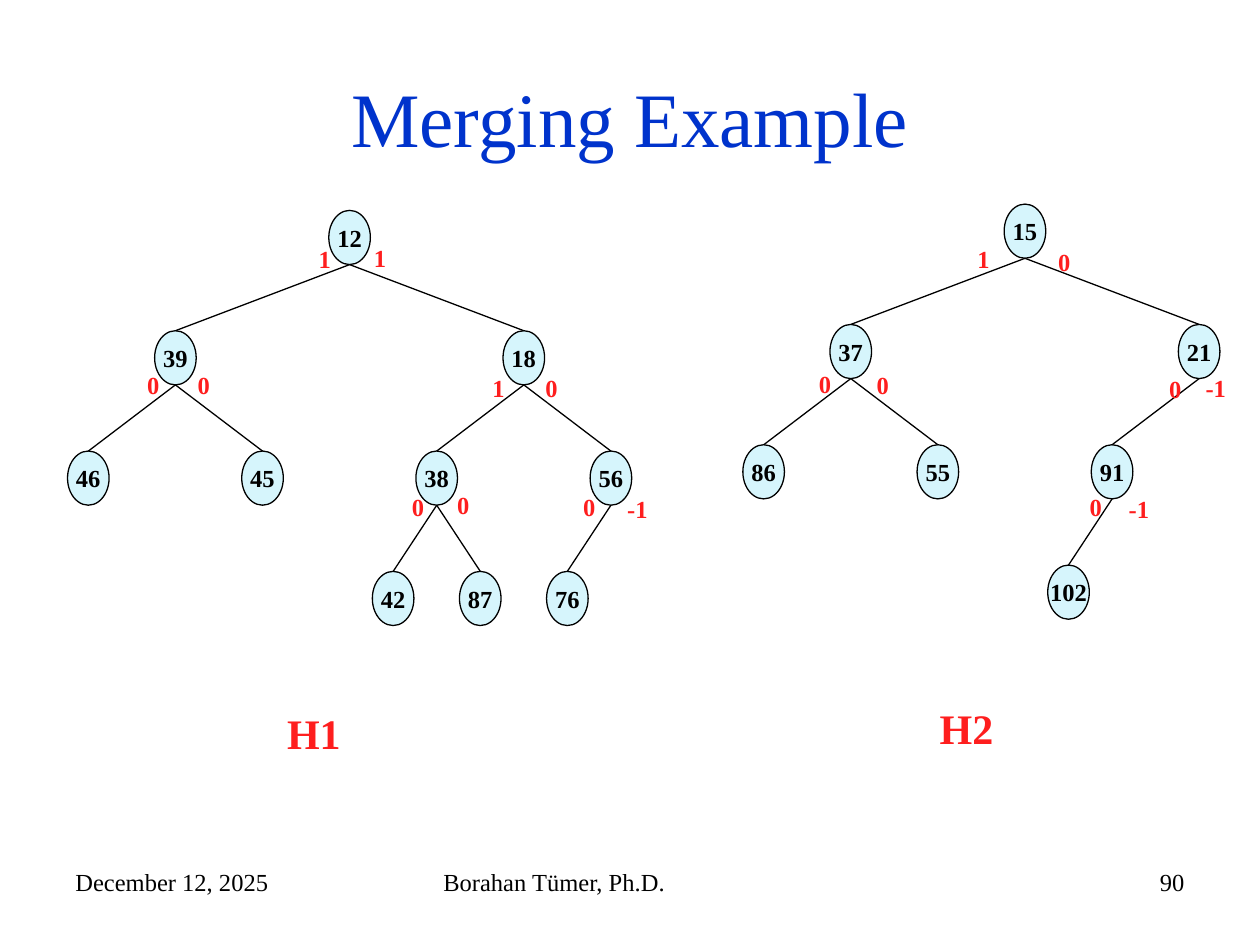
from dataclasses import dataclass

from lxml import etree
from pptx import Presentation
from pptx.dml.color import RGBColor
from pptx.enum.shapes import MSO_CONNECTOR, MSO_SHAPE
from pptx.enum.text import MSO_ANCHOR, MSO_AUTO_SIZE, PP_ALIGN
from pptx.oxml.ns import qn
from pptx.shapes.autoshape import Shape
from pptx.slide import Slide
from pptx.text.text import TextFrame
from pptx.util import Inches, Pt

ELLIPSE = MSO_SHAPE.OVAL
STRAIGHT = MSO_CONNECTOR.STRAIGHT
TOP, MIDDLE = MSO_ANCHOR.TOP, MSO_ANCHOR.MIDDLE
LEFT, CENTER, RIGHT = PP_ALIGN.LEFT, PP_ALIGN.CENTER, PP_ALIGN.RIGHT
FIT_SHAPE, FIXED = MSO_AUTO_SIZE.SHAPE_TO_FIT_TEXT, MSO_AUTO_SIZE.NONE
TOP_SITE = 0


@dataclass(frozen=True)
class Theme:
    font: str = "Times New Roman"
    ink: RGBColor = RGBColor(0x00, 0x00, 0x00)
    title: RGBColor = RGBColor(0x00, 0x33, 0xCC)
    accent: RGBColor = RGBColor(0xFE, 0x1E, 0x1E)
    node_fill: RGBColor = RGBColor(0xD6, 0xF5, 0xFC)
    title_size: int = 44
    heading_size: int = 24
    body_size: int = 14
    line_width: float = 0.75


@dataclass(frozen=True)
class TextStyle:
    size: int
    color: RGBColor
    bold: bool = False
    align: PP_ALIGN = LEFT
    anchor: MSO_ANCHOR = TOP
    wrap: bool = True
    fit: MSO_AUTO_SIZE = FIXED


@dataclass(frozen=True)
class Label:
    text: str
    left: float
    top: float
    width: float
    height: float
    style: TextStyle


@dataclass(frozen=True)
class Rank:
    text: str
    left: float
    top: float


@dataclass(frozen=True)
class Heap:
    """Keys are stored by heap index: the children of i are 2i and 2i + 1."""
    root_x: float
    root_top: float
    keys: dict[int, str]
    ranks: list[Rank]


THEME = Theme()
FOOTER = TextStyle(THEME.body_size, THEME.ink)
FOOTER_RIGHT = TextStyle(THEME.body_size, THEME.ink, align=RIGHT)
TITLE = TextStyle(THEME.title_size, THEME.title, align=CENTER, anchor=MIDDLE)
HEADING = TextStyle(THEME.heading_size, THEME.accent, bold=True, fit=FIT_SHAPE)
RANK = TextStyle(THEME.body_size, THEME.accent, bold=True, wrap=False, fit=FIT_SHAPE)
NODE = TextStyle(THEME.body_size, THEME.ink, bold=True, align=CENTER,
                 anchor=MIDDLE, wrap=False)

NODE_WIDTH, NODE_HEIGHT = 0.33, 0.43
LEVEL_STEP = 0.955
HALF_SPREAD = 2.765

LABELS = [
    Label("December 12, 2025", 0.5, 6.83, 2.33, 0.52, FOOTER),
    Label("Borahan Tümer, Ph.D.", 3.42, 6.83, 3.17, 0.52, FOOTER),
    Label("90", 7.17, 6.83, 2.33, 0.52, FOOTER_RIGHT),
    Label("Merging Example", 0.5, 0.3, 9, 1.25, TITLE),
    Label("H1", 2.18, 5.57, 0.77, 0.5, HEADING),
    Label("H2", 7.36, 5.53, 0.77, 0.5, HEADING),
]

HEAPS = [
    Heap(
        2.775, 1.67,
        {1: "12", 2: "39", 3: "18", 4: "46", 5: "45", 6: "38", 7: "56",
         12: "42", 13: "87", 14: "76"},
        [Rank("1", 2.43, 1.89), Rank("1", 2.87, 1.88),
         Rank("0", 1.07, 2.89), Rank("0", 1.47, 2.89),
         Rank("1", 3.81, 2.91), Rank("0", 4.23, 2.91),
         Rank("0", 3.17, 3.86), Rank("0", 3.53, 3.84),
         Rank("0", 4.53, 3.86), Rank("-1", 4.88, 3.87)],
    ),
    Heap(
        8.135, 1.62,
        {1: "15", 2: "37", 3: "21", 4: "86", 5: "55", 6: "91", 12: "102"},
        [Rank("1", 7.66, 1.89), Rank("0", 8.3, 1.91),
         Rank("0", 6.4, 2.88), Rank("0", 6.86, 2.89),
         Rank("0", 9.18, 2.92), Rank("-1", 9.47, 2.91),
         Rank("0", 8.55, 3.86), Rank("-1", 8.86, 3.87)],
    ),
]


def write_text(frame: TextFrame, text: str, style: TextStyle) -> None:
    frame.word_wrap = style.wrap
    frame.auto_size = style.fit
    frame.vertical_anchor = style.anchor
    para = frame.paragraphs[0]
    para.alignment = style.align
    span = para.add_run()
    span.text = text
    span.font.name = THEME.font
    span.font.size = Pt(style.size)
    span.font.bold = style.bold
    span.font.color.rgb = style.color


def add_label(slide: Slide, label: Label) -> None:
    box = slide.shapes.add_textbox(Inches(label.left), Inches(label.top),
                                   Inches(label.width), Inches(label.height))
    write_text(box.text_frame, label.text, label.style)


def add_node(slide: Slide, heap: Heap, index: int) -> Shape:
    """Center each node over the share of the spread its subtree takes."""
    level = index.bit_length() - 1
    place = index - 2 ** level
    center = heap.root_x + HALF_SPREAD * ((2 * place + 1) / 2 ** level - 1)
    node = slide.shapes.add_shape(
        ELLIPSE, Inches(center - NODE_WIDTH / 2),
        Inches(heap.root_top + level * LEVEL_STEP),
        Inches(NODE_WIDTH), Inches(NODE_HEIGHT))
    node.shadow.inherit = False
    node.fill.solid()
    node.fill.fore_color.rgb = THEME.node_fill
    node.line.color.rgb = THEME.ink
    node.line.width = Pt(THEME.line_width)
    write_text(node.text_frame, heap.keys[index], NODE)
    return node


def add_edge(slide: Slide, parent: Shape, child: Shape) -> None:
    edge = slide.shapes.add_connector(
        STRAIGHT, parent.left + parent.width // 2, parent.top + parent.height,
        child.left + child.width // 2, child.top)
    edge.end_connect(child, TOP_SITE)
    edge.line.color.rgb = THEME.ink
    edge.line.width = Pt(THEME.line_width)
    etree.SubElement(edge._element.spPr, qn("a:effectLst"))


def add_heap(slide: Slide, heap: Heap) -> None:
    nodes = {index: add_node(slide, heap, index) for index in heap.keys}
    for index, child in nodes.items():
        if index > 1:
            add_edge(slide, nodes[index // 2], child)
    for rank in heap.ranks:
        width = 0.36 if rank.text.startswith("-") else 0.3
        add_label(slide, Label(rank.text, rank.left, rank.top, width, 0.33, RANK))


def main() -> None:
    deck = Presentation()
    deck.slide_width, deck.slide_height = Inches(10), Inches(7.5)
    page = deck.slides.add_slide(deck.slide_layouts[6])
    for label in LABELS:
        add_label(page, label)
    for heap in HEAPS:
        add_heap(page, heap)
    deck.save("out.pptx")


if __name__ == "__main__":
    main()
